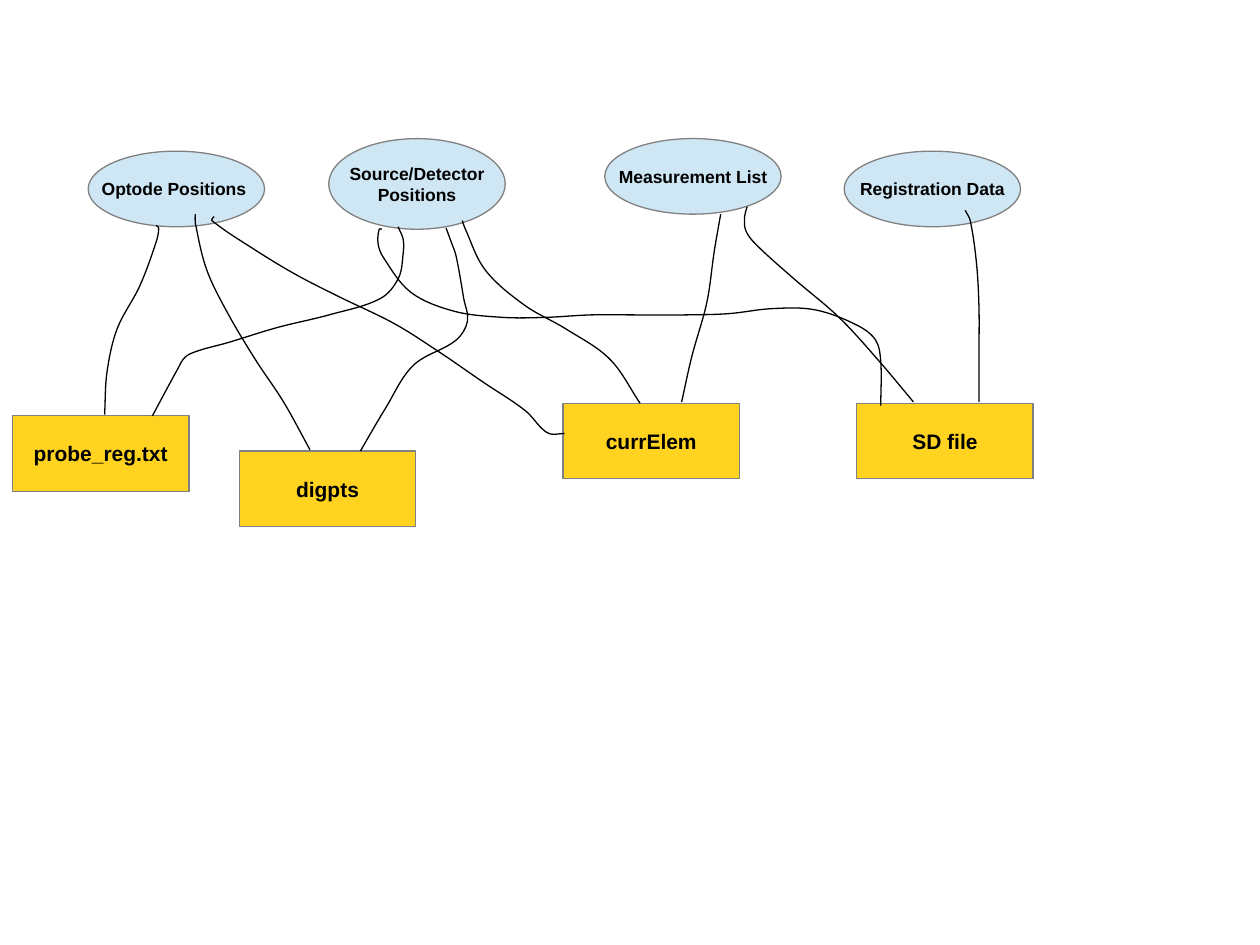
"""Draw the map from probe data types to the files that hold them."""
import math

import lxml.etree
import pptx
import pptx.dml.color
import pptx.enum.shapes
import pptx.enum.text
import pptx.oxml.ns
import pptx.util

COLORS = {"data": "CFE7F5", "file": "FFD320", "outline": "808080", "ink": "000000"}
NODE_WIDTH, NODE_HEIGHT = 100.8, 43.2
OVAL = pptx.enum.shapes.MSO_SHAPE.OVAL
RECTANGLE = pptx.enum.shapes.MSO_SHAPE.RECTANGLE

DATA_NODES = [
    ("Registration Data", 482.4, 86.4, NODE_HEIGHT),
    ("Measurement List", 345.6, 79.2, NODE_HEIGHT),
    ("Optode Positions ", 50.4, 86.4, NODE_HEIGHT),
    ("Source/Detector\nPositions", 187.9, 79.2, 51.8),
]
FILE_NODES = [
    ("currElem", 321.8, 230.4),
    ("digpts", 136.8, 257.8),
    ("probe_reg.txt", 7.2, 237.6),
    ("SD file", 489.6, 230.4),
]
WIRES = {
    "source to probe_reg": [
        (87.1, 237.6), (101.5, 211), (105.9, 204), (113.5, 200.4), (130.3, 195.8),
        (158.4, 187.2), (187.9, 180), (217.4, 170.6), (227.7, 159), (230.4, 144.7),
        (230.4, 136.8), (227.5, 129.6)],
    "optode to probe_reg": [
        (59.8, 236.9), (61.2, 212.4), (67, 187.9), (79.9, 163.4), (89.3, 138.2),
        (90.7, 130.3), (89.3, 128.9)],
    "source to digpts": [
        (205.9, 257.8), (220.3, 233.3), (236.2, 208.8), (260.6, 194.4), (267.1, 183.6),
        (265, 170.6), (260.6, 146.2), (257.8, 138.2), (254.9, 130.3)],
    "optode to digpts": [
        (177.1, 257), (162, 229.7), (146.2, 205.9), (130.3, 179.3), (118.1, 154.1),
        (111.6, 127.4), (111.6, 122.4)],
    "source to currElem": [
        (365.8, 230.4), (348.5, 205.2), (323.3, 187.9), (299.5, 174.2), (277.2, 154.1),
        (265.7, 130.3), (264.2, 126)],
    "optode to currElem": [
        (322.6, 247.7), (314.4, 248), (309.8, 245), (300.2, 234.7), (275.8, 218.2),
        (250.6, 200.9), (225.4, 185), (194.4, 169.9), (169.2, 157), (145.4, 142.6),
        (121, 126), (122.4, 123.8)],
    "measurement to currElem": [
        (389.5, 229.7), (395.3, 203.8), (403.9, 172.8), (408.2, 143.3), (411.8, 122.4)],
    "measurement to SD file": [
        (522, 229.7), (502.6, 206.6), (479.5, 181.4), (454.3, 159.8), (432, 139.7),
        (426.2, 131.8), (425.5, 123.8), (427, 118.1)],
    "registration to SD file": [
        (559.4, 229.7), (559.4, 202.3), (559.4, 175.7), (558, 150.5), (554.4, 126),
        (551.5, 120.2)],
    "source to SD file": [
        (503.3, 231.8), (503.3, 206.6), (500.4, 194.4), (489.6, 185.8), (465.8, 177.1),
        (441.4, 176.4), (416.2, 179.3), (391, 180), (363.6, 180), (337.7, 180),
        (311.8, 181.4), (287.3, 181.4), (259.2, 177.8), (234.7, 167), (218.9, 146.9),
        (216, 139), (216.7, 131), (218.2, 131)],
}


class Diagram:
    """Hold the style and the current slide."""

    font = "Arial"
    line_width = 0

    def __init__(self, slide):
        """Keep the slide to draw on."""
        self.slide = slide

    def color(self, name):
        """Return the named colour."""
        return pptx.dml.color.RGBColor.from_string(COLORS[name])

    def outline(self, shape, name):
        """Give a shape a hairline and no shadow."""
        shape.shadow.inherit = False
        shape.line.color.rgb = self.color(name)
        shape.line.width = pptx.util.Pt(self.line_width)

    def node(self, kind, fill, size, text, left, top, height=NODE_HEIGHT):
        """Add a filled shape with a bold centred label."""
        frame = [pptx.util.Pt(value) for value in (left, top, NODE_WIDTH, height)]
        shape = self.slide.shapes.add_shape(kind, *frame)
        shape.fill.solid()
        shape.fill.fore_color.rgb = self.color(fill)
        self.outline(shape, "outline")
        text_frame = shape.text_frame
        text_frame.word_wrap = False
        text_frame.vertical_anchor = pptx.enum.text.MSO_ANCHOR.MIDDLE
        text_frame.text = text
        for para in text_frame.paragraphs:
            para.alignment = pptx.enum.text.PP_ALIGN.CENTER
            for span in para.runs:
                span.font.name = self.font
                span.font.size = pptx.util.Pt(size)
                span.font.bold = True
                span.font.color.rgb = self.color("ink")

    def wire(self, points):
        """Add an open outline through the points and round it."""
        corners = [(pptx.util.Pt(x), pptx.util.Pt(y)) for x, y in points]
        builder = self.slide.shapes.build_freeform(*corners[0])
        builder.add_line_segments(corners[1:], close=False)
        shape = builder.convert_to_shape()
        shape.fill.background()
        self.outline(shape, "ink")
        self.smooth(shape)

    def smooth(self, shape):
        """Turn each straight segment of an outline into a smooth curve."""
        qn = pptx.oxml.ns.qn
        nodes = list(shape._element.iter(qn("a:pt")))
        points = [(int(node.get("x")), int(node.get("y"))) for node in nodes]
        directions = []
        for index in range(len(points)):
            before = points[max(index - 1, 0)]
            after = points[min(index + 1, len(points) - 1)]
            length = math.dist(before, after)
            directions.append([(b - a) / length for a, b in zip(before, after)])
        for index, segment in enumerate(list(shape._element.iter(qn("a:lnTo")))):
            start, end = points[index:index + 2]
            reach = math.dist(start, end) / 3
            leave = [p + reach * d for p, d in zip(start, directions[index])]
            arrive = [p - reach * d for p, d in zip(end, directions[index + 1])]
            curve = lxml.etree.Element(qn("a:cubicBezTo"))
            for x, y in (leave, arrive, end):
                lxml.etree.SubElement(curve, qn("a:pt"), x=str(round(x)), y=str(round(y)))
            segment.getparent().replace(segment, curve)


def main():
    """Build and save the deck."""
    deck = pptx.Presentation()
    deck.slide_width, deck.slide_height = pptx.util.Pt(720), pptx.util.Pt(540)
    diagram = Diagram(deck.slides.add_slide(deck.slide_layouts[6]))
    for node in DATA_NODES:
        diagram.node(OVAL, "data", 10, *node)
    for node in FILE_NODES:
        diagram.node(RECTANGLE, "file", 12, *node)
    for points in WIRES.values():
        diagram.wire(points)
    deck.save("out.pptx")


if __name__ == "__main__":
    main()
